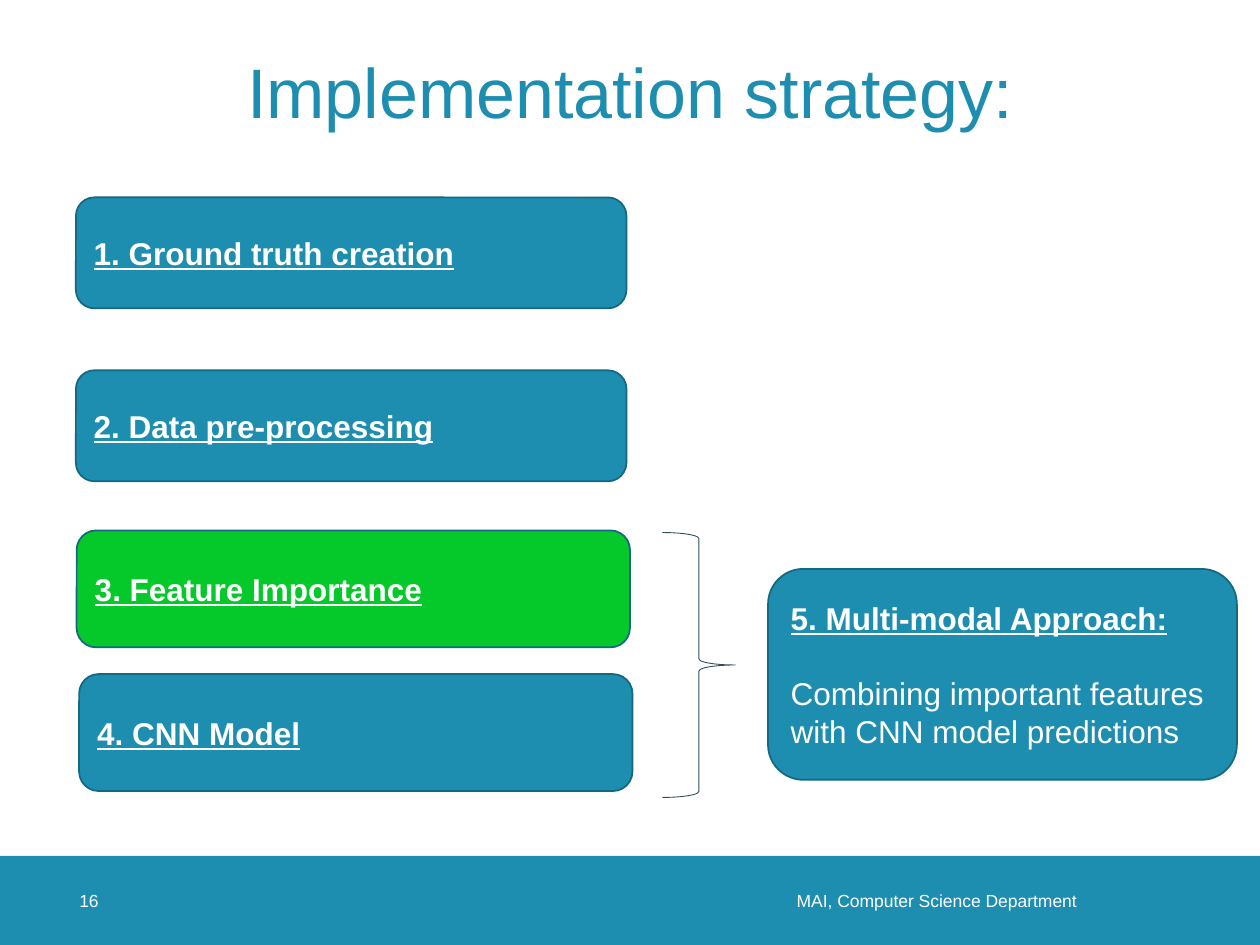
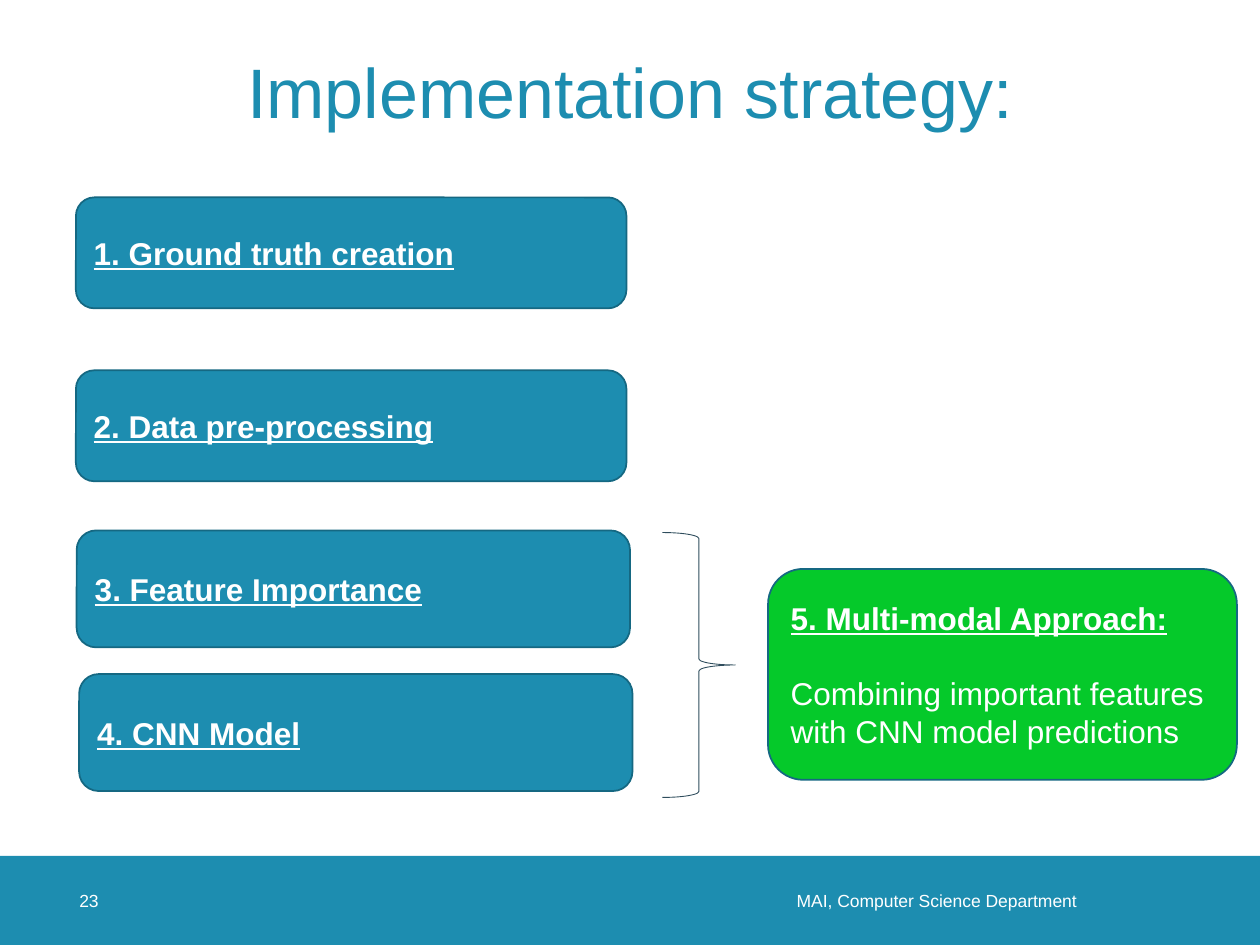
import pptx
import pptx.dml.color
import pptx.enum.shapes
import pptx.enum.text
import pptx.util

Pt = pptx.util.Pt
RGBColor = pptx.dml.color.RGBColor
SHAPE = pptx.enum.shapes.MSO_SHAPE
ALIGN = pptx.enum.text.PP_ALIGN
ANCHOR = pptx.enum.text.MSO_ANCHOR

# Shared colours and text formats
TEAL = RGBColor(0x1D, 0x8D, 0xB0)
GREEN = RGBColor(0x05, 0xC9, 0x2A)
OUTLINE = RGBColor(0x15, 0x68, 0x82)
BRACE_LINE = RGBColor(0x2F, 0x4D, 0x5D)
WHITE = RGBColor(0xFF, 0xFF, 0xFF)

TITLE_FONT = {"name": "Arial", "size": Pt(40), "color": TEAL}
FOOTER_FONT = {"name": "Arial", "size": Pt(10), "color": WHITE}
BODY_FONT = {"name": "Arial", "size": Pt(18), "color": WHITE}
HEADING_FONT = {**BODY_FONT, "bold": True, "underline": True}

BAND_TOP, BAND_HEIGHT = 489, 51

# Steps: number, heading, detail, (left, top, width, height)
STEPS = [
    (1, "1. Ground truth creation", None, (43.4, 112.8, 314.6, 63.4)),
    (2, "2. Data pre-processing", None, (43.4, 211.6, 314.6, 63.4)),
    (3, "3. Feature Importance", None, (43.8, 303.1, 316.2, 66.8)),
    (4, "4. CNN Model", None, (45.2, 385.2, 316.2, 66.8)),
    (5, "5. Multi-modal Approach:",
     "Combining important features with CNN model predictions",
     (438.9, 325.1, 267.9, 120.5)),
]

# Page number and the step highlighted on that page
PAGES = [("16", 3), ("23", 5)]


def write(paragraph, text, font, align=ALIGN.LEFT):
    paragraph.alignment = align
    run = paragraph.add_run()
    run.text = text
    for key, value in font.items():
        if key == "color":
            run.font.color.rgb = value
        else:
            setattr(run.font, key, value)


def add_block(slide, kind, box, fill=None, line=None, line_width=1):
    block = slide.shapes.add_shape(kind, *map(Pt, box))
    block.shadow.inherit = False
    if fill is None:
        block.fill.background()
    else:
        block.fill.solid()
        block.fill.fore_color.rgb = fill
    if line is None:
        block.line.fill.background()
    else:
        block.line.color.rgb = line
        block.line.width = Pt(line_width)
    return block


deck = pptx.Presentation()
deck.slide_width, deck.slide_height = Pt(720), Pt(540)

for page_number, current_step in PAGES:
    slide = deck.slides.add_slide(deck.slide_layouts[5])

    # Footer band with department and page number
    add_block(slide, SHAPE.RECTANGLE, (0, BAND_TOP, 720, BAND_HEIGHT), TEAL)
    for text, left, width, right_inset, align in [
        ("MAI, Computer Science Department", 338.6, 291, 14.4, ALIGN.RIGHT),
        (page_number, 45.3, 51, 0, ALIGN.LEFT),
    ]:
        footer = slide.shapes.add_textbox(
            Pt(left), Pt(BAND_TOP), Pt(width), Pt(BAND_HEIGHT)).text_frame
        footer_format = {
            "word_wrap": True, "vertical_anchor": ANCHOR.MIDDLE,
            "margin_left": 0, "margin_top": 0, "margin_bottom": 0,
            "margin_right": Pt(right_inset),
        }
        for key, value in footer_format.items():
            setattr(footer, key, value)
        write(footer.paragraphs[0], text, FOOTER_FONT, align)

    # Title
    title = slide.shapes.title
    title_place = {"left": 45.3, "top": 29.5, "width": 629.4, "height": 78.5}
    for key, value in title_place.items():
        setattr(title, key, Pt(value))
    title.text_frame.vertical_anchor = ANCHOR.TOP
    heading = title.text_frame.paragraphs[0]
    heading.line_spacing = 0.9
    write(heading, "Implementation strategy:", TITLE_FONT, ALIGN.CENTER)

    # Strategy steps, with the current one in green
    for number, step_name, detail, box in STEPS:
        fill = GREEN if number == current_step else TEAL
        step = add_block(slide, SHAPE.ROUNDED_RECTANGLE, box, fill, OUTLINE)
        step_text = step.text_frame
        step_text.word_wrap = True
        step_text.vertical_anchor = ANCHOR.MIDDLE
        write(step_text.paragraphs[0], step_name, HEADING_FONT)
        if detail:
            explanation = step_text.add_paragraph()
            explanation.space_before = Pt(21)
            write(explanation, detail, BODY_FONT)

    # Brace joining steps 3 and 4 to step 5
    add_block(slide, SHAPE.RIGHT_BRACE, (378.6, 304.3, 41.6, 151.4),
              line=BRACE_LINE, line_width=0.5)

deck.save("out.pptx")
